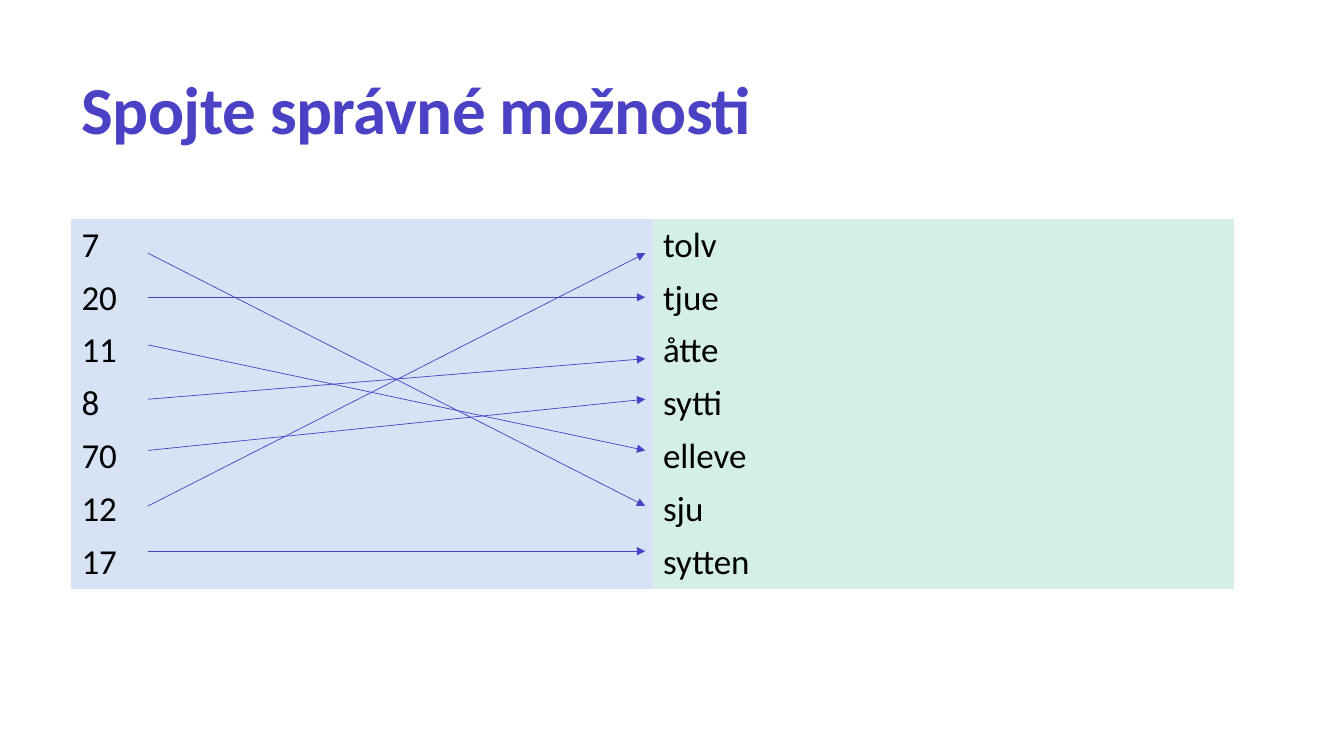
from lxml.etree import SubElement
from pptx import Presentation
from pptx.dml.color import RGBColor
from pptx.enum.shapes import MSO_CONNECTOR
from pptx.enum.text import MSO_ANCHOR
from pptx.oxml.ns import qn
from pptx.util import Cm, Pt

TITLE = "Spojte správné možnosti"
ROWS = [
    ("7", "tolv"),
    ("20", "tjue"),
    ("11", "åtte"),
    ("8", "sytti"),
    ("70", "elleve"),
    ("12", "sju"),
    ("17", "sytten"),
]
LINKS = [5, 1, 4, 2, 3, 0, 6]
STARTS = [6.38, 7.49, 8.69, 10.06, 11.35, 12.75, 13.89]
ENDS = [6.38, 7.49, 9.04, 10.06, 11.35, 12.75, 13.89]
FILLS = ["D7E2F5", "D3EFE6"]
VIOLET = "4A41C5"
LEFT, WIDTH, ROW = 1.8, 29.31, 1.33
TAIL, HEAD = 3.73, 16.26


def paint(color, code):
    color.rgb = RGBColor.from_string(code)


def write(frame, text, size, color="000000", bold=False, space=None, track=None):
    para = frame.paragraphs[0]
    para.line_spacing = space
    run = para.add_run()
    run.text = text
    run.font.name = "Calibri"
    run.font.size = Pt(size)
    run.font.bold = bold
    paint(run.font.color, color)
    if track is not None:
        run.font._element.set("spc", str(track))


def link(slide, start, end):
    line = slide.shapes.add_connector(
        MSO_CONNECTOR.STRAIGHT, Cm(TAIL), Cm(start), Cm(HEAD), Cm(end))
    line.line.width = Pt(0.5)
    paint(line.line.color, VIOLET)
    SubElement(line.line._get_or_add_ln(), qn("a:tailEnd"), type="triangle")
    SubElement(line._element.spPr, qn("a:effectLst"))


def main():
    deck = Presentation()
    deck.slide_width, deck.slide_height = Cm(33.87), Cm(19.05)
    slide = deck.slides.add_slide(deck.slide_layouts[6])

    box = slide.shapes.add_textbox(Cm(LEFT), Cm(1.02), Cm(WIDTH), Cm(2.87))
    box.text_frame.word_wrap = True
    box.text_frame.vertical_anchor = MSO_ANCHOR.BOTTOM
    write(box.text_frame, TITLE, 48, VIOLET, bold=True, space=0.9, track=-40)

    table = slide.shapes.add_table(
        len(ROWS), 2, Cm(LEFT), Cm(5.52), Cm(WIDTH), Cm(ROW * len(ROWS))).table
    table.first_row = table.horz_banding = False
    for r, words in enumerate(ROWS):
        table.rows[r].height = Cm(ROW)
        for c, word in enumerate(words):
            cell = table.cell(r, c)
            cell.fill.solid()
            paint(cell.fill.fore_color, FILLS[c])
            write(cell.text_frame, word, 25)
            edges = cell._tc.get_or_add_tcPr()
            for i, side in enumerate(("lnL", "lnR", "lnT", "lnB")):
                edge = edges.makeelement(qn(f"a:{side}"), {"w": "0"})
                SubElement(edge, qn("a:noFill"))
                edges.insert(i, edge)

    for start, goal in zip(STARTS, LINKS):
        link(slide, start, ENDS[goal])

    deck.save("out.pptx")


if __name__ == "__main__":
    main()
